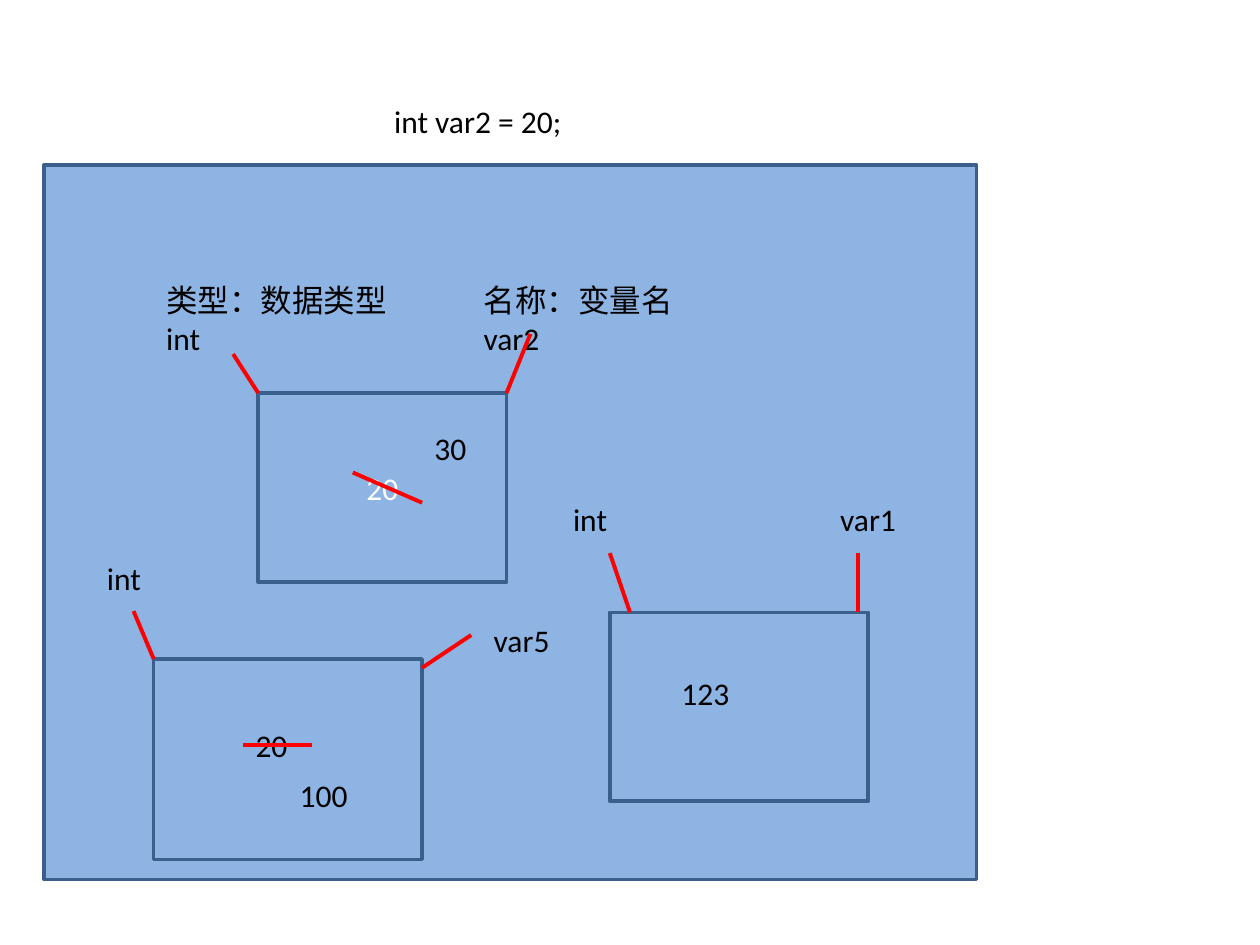
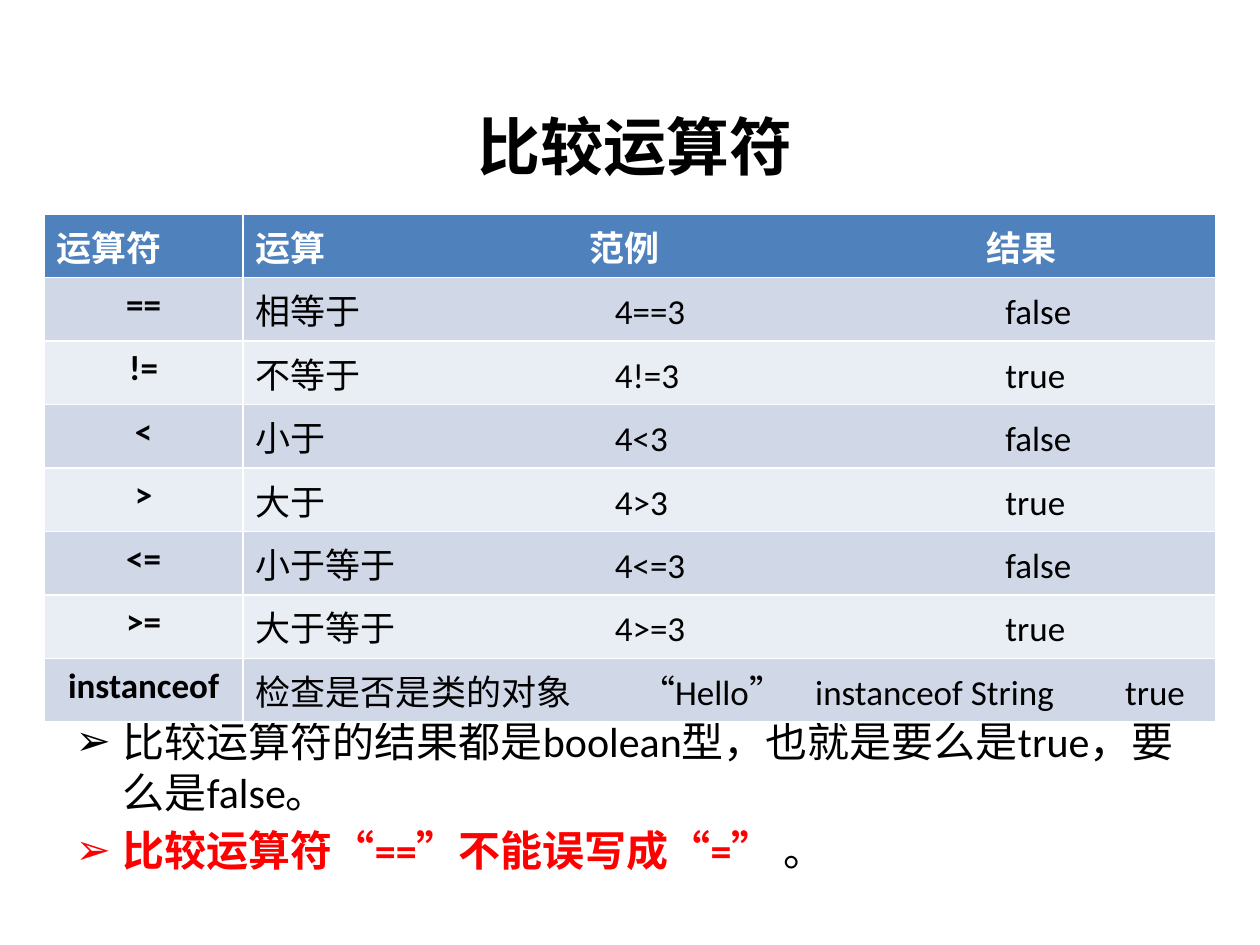
"""Build two Java teaching slides: variables in memory and comparison operators."""
from lxml import etree
from pptx import Presentation
from pptx.dml.color import RGBColor
from pptx.enum.shapes import MSO_CONNECTOR as CONN, MSO_SHAPE as SHAPE
from pptx.enum.text import MSO_ANCHOR as ANCHOR, MSO_AUTO_SIZE as AUTO, PP_ALIGN as ALIGN
from pptx.oxml.ns import qn
from pptx.util import Inches, Pt

COLORS = {
    "black": "000000", "white": "FFFFFF", "red": "FF0000",
    "memory": "8EB4E3", "outline": "3A5F8C",
    "header": "4F81BD", "dark_band": "D0D8E8", "light_band": "E9EDF4",
}


def rgb(name):
    return RGBColor.from_string(COLORS[name])


def write(p, text, size=18, color="black", bold=False, font="Calibri", align=None):
    r = p.add_run()
    r.text = text
    r.font.size, r.font.bold, r.font.name = Pt(size), bold, font
    r.font.color.rgb = rgb(color)
    if align is not None:
        p.alignment = align


prs = Presentation()
prs.slide_width, prs.slide_height = Inches(10), Inches(7.5)

s = prs.slides.add_slide(prs.slide_layouts[6])

boxes = [
    (0.35, 1.31, 7.4, 5.67, ""),
    (2.05, 3.12, 1.97, 1.5, "20"),
    (4.84, 4.86, 2.05, 1.5, ""),
    (1.22, 5.23, 2.13, 1.59, ""),
]
for x, y, w, h, value in boxes:
    sp = s.shapes.add_shape(SHAPE.RECTANGLE, Inches(x), Inches(y), Inches(w), Inches(h))
    sp.shadow.inherit = False
    sp.fill.solid()
    sp.fill.fore_color.rgb = rgb("memory")
    sp.line.color.rgb = rgb("outline")
    sp.line.width = Pt(2)
    if value:
        sp.text_frame.vertical_anchor = ANCHOR.MIDDLE
        write(sp.text_frame.paragraphs[0], value, color="white", align=ALIGN.CENTER)

labels = [
    (3.03, 0.76, 3.86, ["int var2 = 20;"]),
    (1.22, 2.18, 2.13, ["类型：数据类型", "int"]),
    (3.74, 2.18, 1.97, ["名称：变量名", "var2"]),
    (3.35, 3.36, 0.67, ["30"]),
    (4.45, 3.92, 1.1, ["int"]),
    (6.57, 3.92, 1.1, ["var1"]),
    (5.31, 5.3, 1.26, ["123"]),
    (0.75, 4.39, 0.63, ["int"]),
    (3.82, 4.88, 1.02, ["var5"]),
    (2.28, 6.11, 0.79, ["100"]),
    (1.93, 5.71, 0.83, ["20"]),
]
for x, y, w, lines in labels:
    h = 0.4 if len(lines) == 1 else 0.71
    old_value = s.shapes.add_textbox(Inches(x), Inches(y), Inches(w), Inches(h))
    tf = old_value.text_frame
    tf.word_wrap = True
    tf.auto_size = AUTO.SHAPE_TO_FIT_TEXT
    for i, line in enumerate(lines):
        write(tf.add_paragraph() if i else tf.paragraphs[0], line)

red_lines = [
    (2.05, 3.12, 1.85, 2.81),
    (4.02, 3.12, 4.21, 2.65),
    (5, 4.86, 4.84, 4.39),
    (6.81, 4.86, 6.81, 4.39),
    (1.22, 5.23, 1.06, 4.85),
    (3.35, 5.3, 3.74, 5.04),
    (2.8, 3.75, 3.35, 3.99),
    (1.93, 5.91, 2.48, 5.91),
]
for ends in red_lines:
    c = s.shapes.add_connector(CONN.STRAIGHT, *map(Inches, ends))
    c.line.color.rgb = rgb("red")
    c.line.width = Pt(2.25)
    etree.SubElement(c._element.spPr, qn("a:effectLst"))
c.begin_connect(old_value, 1)

s = prs.slides.add_slide(prs.slide_layouts[1])

title, body = s.placeholders
title.left, title.top, title.width, title.height = map(Inches, (2.4, 0.68, 5.28, 0.94))
title.text_frame.vertical_anchor = ANCHOR.MIDDLE
write(title.text_frame.paragraphs[0], "比较运算符", size=36, bold=True, align=ALIGN.CENTER)

body.left, body.top, body.width, body.height = map(Inches, (0.5, 5.63, 9, 1.41))
tf = body.text_frame
tf.auto_size = AUTO.NONE
notes = [
    [("比较运算符的结果都是boolean型，也就是要么是true，要么是false。", "black", False)],
    [("比较运算符“==”不能误写成“=” ", "red", True), ("。", "black", False)],
]
for i, runs in enumerate(notes):
    p = tf.add_paragraph() if i else tf.paragraphs[0]
    for text, color, bold in runs:
        write(p, text, size=24, color=color, bold=bold)
    etree.SubElement(p._p.get_or_add_pPr(), qn("a:buChar"), char="➢")

header_tabs, value_tabs, object_tabs = (2.65, 5.8), (2.85, 5.95), (3.05, 4.44, 6.9)
rows = [
    ("运算符", "运算\t范例\t结果", header_tabs),
    ("==", "相等于\t4==3\tfalse", value_tabs),
    ("!=", "不等于\t4!=3\ttrue", value_tabs),
    ("<", "小于\t4<3\tfalse", value_tabs),
    (">", "大于\t4>3\ttrue", value_tabs),
    ("<=", "小于等于\t4<=3\tfalse", value_tabs),
    (">=", "大于等于\t4>=3\ttrue", value_tabs),
    ("instanceof", "检查是否是类的对象\t“Hello”\tinstanceof String\ttrue", object_tabs),
]
table = s.shapes.add_table(len(rows), 2, Inches(0.35), Inches(1.7), Inches(9.3), Inches(3.57)).table
for col, width in zip(table.columns, (1.58, 7.72)):
    col.width = Inches(width)
for i, (operator, example, tabs) in enumerate(rows):
    table.rows[i].height = Inches(0.43 if i in (5, 6) else 0.45)
    header = i == 0
    band = "header" if header else "dark_band" if i % 2 else "light_band"
    for j, text in enumerate((operator, example)):
        cell = table.cell(i, j)
        cell.fill.solid()
        cell.fill.fore_color.rgb = rgb(band)
        p = cell.text_frame.paragraphs[0]
        write(p, text, size=20, bold=header or j == 0,
              color="white" if header else "black",
              font="Times New Roman" if header else "Calibri",
              align=ALIGN.LEFT if header or j else ALIGN.CENTER)
    tab_list = etree.SubElement(p._p.get_or_add_pPr(), qn("a:tabLst"))
    for pos in tabs:
        etree.SubElement(tab_list, qn("a:tab"), pos=str(Inches(pos)), algn="l")

prs.save("out.pptx")
